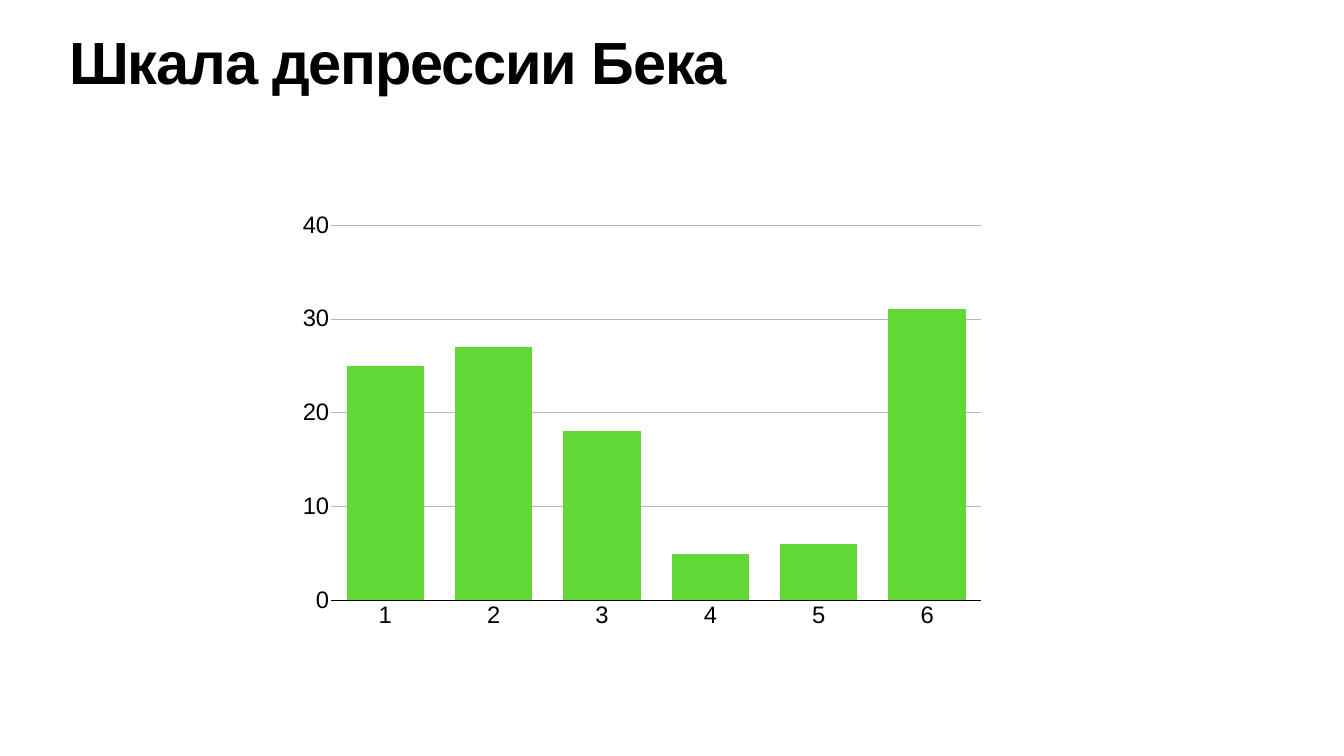
import pptx
import pptx.chart.data
import pptx.dml.color
import pptx.enum.chart
import pptx.enum.text
import pptx.util
from lxml import etree

Cm = pptx.util.Cm
Pt = pptx.util.Pt
RGBColor = pptx.dml.color.RGBColor
CHART = pptx.enum.chart

BLACK = RGBColor(0x00, 0x00, 0x00)
WHITE = RGBColor(0xFF, 0xFF, 0xFF)
GRAY = RGBColor(0xB8, 0xB8, 0xB8)
GREEN = RGBColor(0x61, 0xD8, 0x36)
FONT = "Arial"

TITLE = "Шкала депрессии Бека"
SCORES = {"1": 25, "2": 27, "3": 18, "4": 5, "5": 6, "6": 31}
PLOT = {"x": 0.064, "y": 0.061, "w": 0.931, "h": 0.837}


def style(font, size):
    font.name = FONT
    font.size = Pt(size)
    font.color.rgb = BLACK


def add_title(slide):
    box = slide.shapes.add_textbox(Cm(3.35), Cm(1.8), Cm(61.04), Cm(3.99))
    frame = box.text_frame
    frame.word_wrap = True
    frame.vertical_anchor = pptx.enum.text.MSO_ANCHOR.TOP
    frame.margin_left = frame.margin_right = Cm(0.15)
    frame.margin_top = frame.margin_bottom = Cm(0.15)
    para = frame.paragraphs[0]
    para.line_spacing = 0.8
    run = para.add_run()
    run.text = TITLE
    style(run.font, 85)
    run.font.bold = True
    run.font._element.set("spc", "-170")


def set_plot(chart):
    area = chart._chartSpace.chart.plotArea
    space = etree.QName(area).namespace
    for old in area.findall(f"{{{space}}}layout"):
        area.remove(old)
    layout = etree.Element(f"{{{space}}}layout")
    manual = etree.SubElement(layout, f"{{{space}}}manualLayout")
    rules = {"layoutTarget": "inner", "xMode": "edge", "yMode": "edge", **PLOT}
    for name, value in rules.items():
        etree.SubElement(manual, f"{{{space}}}{name}").set("val", str(value))
    area.insert(0, layout)


def add_scores(slide):
    data = pptx.chart.data.CategoryChartData()
    data.categories = list(SCORES)
    data.add_series("Series 1", list(SCORES.values()))
    chart = slide.shapes.add_chart(
        CHART.XL_CHART_TYPE.COLUMN_CLUSTERED,
        Cm(14.43), Cm(9.96), Cm(35.2), Cm(22.61), data,
    ).chart
    chart.has_legend = False
    chart.has_title = False
    style(chart.font, 34)

    bars = chart.plots[0]
    bars.gap_width = 40
    bars.overlap = -10
    bars.vary_by_categories = False
    fill = bars.series[0].format.fill
    fill.solid()
    fill.fore_color.rgb = GREEN

    for axis in (chart.category_axis, chart.value_axis):
        axis.major_tick_mark = CHART.XL_TICK_MARK.NONE
        axis.minor_tick_mark = CHART.XL_TICK_MARK.NONE
        style(axis.tick_labels.font, 34)
    base = chart.category_axis.format.line
    base.color.rgb = BLACK
    base.width = Pt(1)

    scale = chart.value_axis
    scale.minimum_scale = 0
    scale.maximum_scale = 40
    scale.major_unit = 10
    scale.format.line.fill.background()
    grid = scale.major_gridlines.format.line
    grid.color.rgb = GRAY
    grid.width = Pt(1)
    set_plot(chart)


def main():
    deck = pptx.Presentation()
    deck.slide_width = Cm(67.73)
    deck.slide_height = Cm(38.1)
    slide = deck.slides.add_slide(deck.slide_layouts[6])
    slide.background.fill.solid()
    slide.background.fill.fore_color.rgb = WHITE
    add_scores(slide)
    add_title(slide)
    deck.save("out.pptx")


if __name__ == "__main__":
    main()
